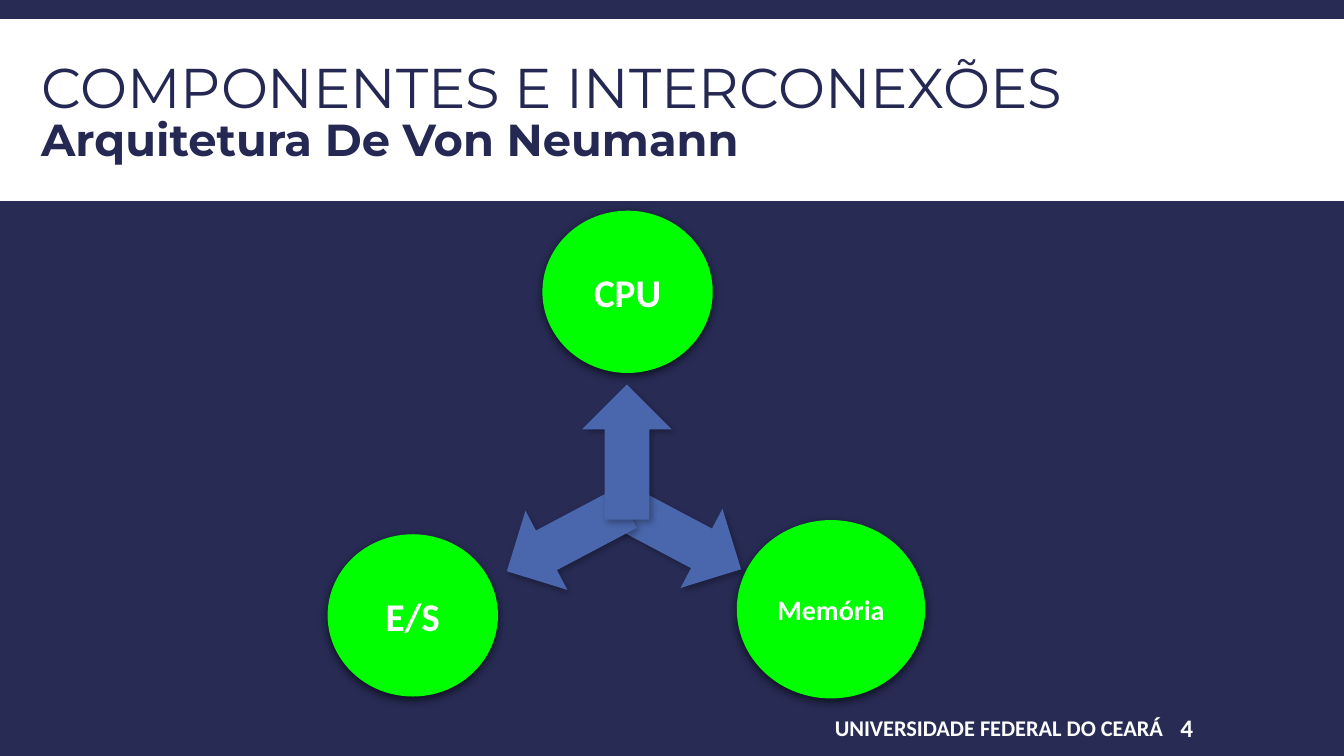
import pptx
import pptx.util
import pptx.dml.color
import pptx.enum.shapes
import pptx.enum.text
import lxml.etree

Pt = pptx.util.Pt
MSO_SHAPE = pptx.enum.shapes.MSO_SHAPE
ALIGN = pptx.enum.text.PP_ALIGN
COLORS = {"background": "282C55", "navy": "242852", "white": "FFFFFF",
          "green": "00FF00", "blue": "4A66AC", "shadow": "000000"}


def write(shape, runs, align=ALIGN.LEFT):
    """Fill a shape with bold or regular runs, one per line."""
    frame = shape.text_frame
    frame.word_wrap = True
    frame.vertical_anchor = pptx.enum.text.MSO_ANCHOR.MIDDLE
    paragraph = frame.paragraphs[0]
    paragraph.alignment = align
    for index, (text, size, font, color, bold) in enumerate(runs):
        if index:
            paragraph.add_line_break()
        run = paragraph.add_run()
        run.text = text
        run.font.size = Pt(size)
        run.font.name = font
        run.font.bold = bold
        run.font.color.rgb = pptx.dml.color.RGBColor.from_string(COLORS[color])
    return paragraph


def add_filled(kind, box, color, shadow=None):
    """Add a borderless shape; shadow is opacity, blur, distance, angle."""
    shape = slide.shapes.add_shape(kind, *map(Pt, box))
    shape.fill.solid()
    shape.fill.fore_color.rgb = pptx.dml.color.RGBColor.from_string(COLORS[color])
    shape.line.fill.background()
    shape.shadow.inherit = False
    if shadow:
        opacity, blur, distance, angle = shadow
        namespace = "{http://schemas.openxmlformats.org/drawingml/2006/main}"
        effects = shape.element.spPr.find(namespace + "effectLst")
        outer = lxml.etree.SubElement(
            effects, namespace + "outerShdw", blurRad=str(Pt(blur)),
            dist=str(Pt(distance)), dir=str(angle * 60000), rotWithShape="0")
        tint = lxml.etree.SubElement(outer, namespace + "srgbClr", val=COLORS["shadow"])
        lxml.etree.SubElement(tint, namespace + "alpha", val=str(opacity * 1000))
    return shape


presentation = pptx.Presentation()
presentation.slide_width = Pt(960)
presentation.slide_height = Pt(540)
slide = presentation.slides.add_slide(presentation.slide_layouts[6])
slide.background.fill.solid()
slide.background.fill.fore_color.rgb = pptx.dml.color.RGBColor.from_string(
    COLORS["background"])

# Title on a white band
add_filled(MSO_SHAPE.RECTANGLE, (0, 13.7, 960, 129.8), "white")
title = slide.shapes.add_textbox(Pt(22.3), Pt(22.3), Pt(860.4), Pt(118.8))
title_paragraph = write(title, [
    ("COMPONENTES E INTERCONEXÕES", 40, "Montserrat", "navy", False),
    ("Arquitetura De Von Neumann", 32, "Montserrat", "navy", True)])
title_paragraph.line_spacing = 0.85

# Footer and slide number
footer = slide.shapes.add_textbox(Pt(440.6), Pt(505.4), Pt(397.4), Pt(28.8))
write(footer, [("UNIVERSIDADE FEDERAL DO CEARÁ", 16, "Calibri", "white", True)],
      ALIGN.RIGHT)
number = slide.shapes.add_textbox(Pt(839.5), Pt(505.4), Pt(74.2), Pt(28.8))
number.text_frame.margin_left = Pt(3.6)
write(number, [("4", 18, "Calibri", "white", True)])

# Components: label, text size, box
components = [
    ("CPU", 28, (387.4, 150.5, 121.7, 115.9)),
    ("E/S", 28, (234, 381.6, 121.7, 115.9)),
    ("Memória", 20, (526.3, 371.5, 134.6, 127.4)),
]
for label, size, box in components:
    circle = add_filled(MSO_SHAPE.OVAL, box, "green", (63, 7, 2.2, 90))
    write(circle, [(label, size, "Calibri", "white", True)], ALIGN.CENTER)

# Arrows from the centre to Memória, E/S and CPU: left, top, rotation
for left, top, rotation in [(438.5, 352.1, 27.9), (356.4, 353.5, 152.1),
                            (399.6, 290.9, 270)]:
    arrow = add_filled(MSO_SHAPE.RIGHT_ARROW, (left, top, 96.5, 64), "blue",
                       (30, 4.5, 2.6, 53))
    arrow.rotation = rotation

presentation.save("out.pptx")
